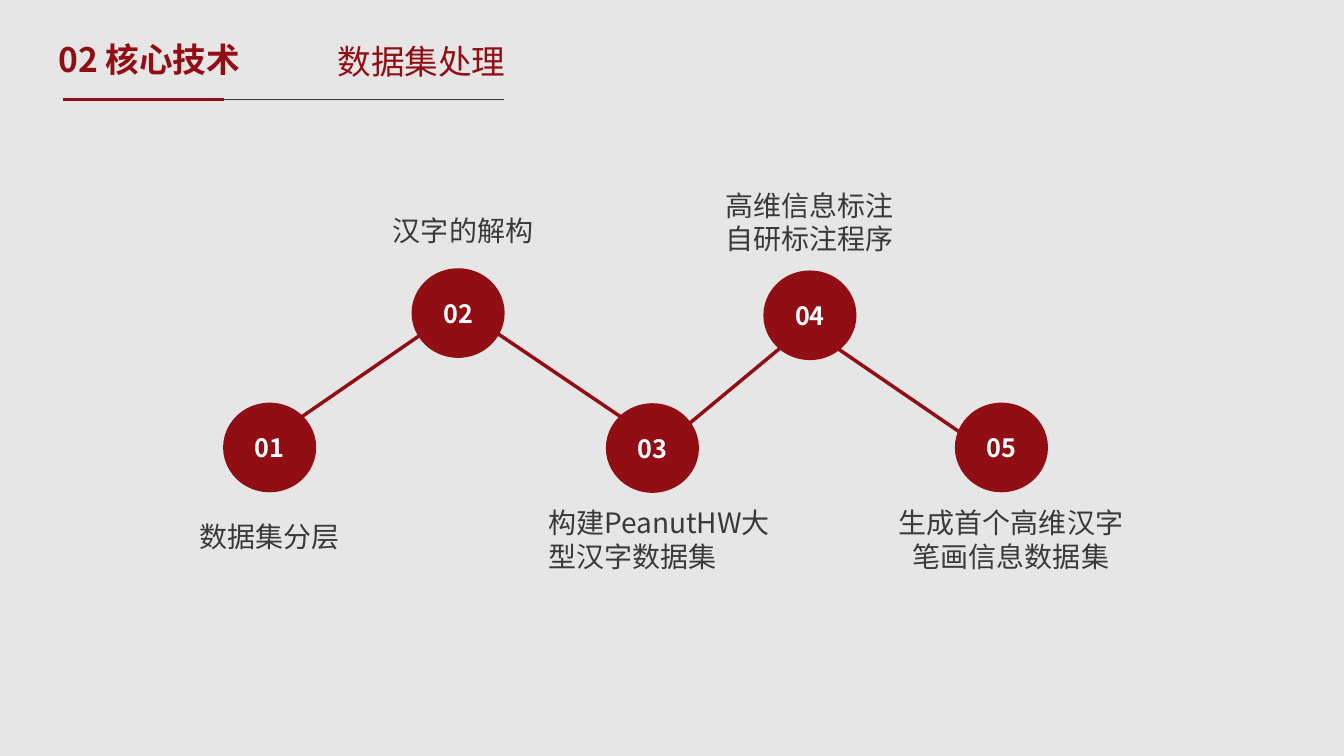
from lxml import etree
from pptx import Presentation
from pptx.dml.color import RGBColor
from pptx.enum import shapes, text
from pptx.oxml import ns
from pptx.util import Pt

COLORS = {"paper": "E7E6E6", "red": "910E14", "ink": "3B3838", "white": "FDFDFD"}
SANS = "Noto Sans CJK SC"
LEFT, CENTER = text.PP_ALIGN.LEFT, text.PP_ALIGN.CENTER
TOP, MIDDLE = text.MSO_ANCHOR.TOP, text.MSO_ANCHOR.MIDDLE


def rgb(name):
    """Return a palette colour."""
    return RGBColor.from_string(COLORS[name])


def write(sp, lines, size, color, align=LEFT, bold=False, anchor=TOP, spacing=None):
    """Fill a shape with uniformly formatted paragraphs."""
    tf = sp.text_frame
    tf.word_wrap = True
    tf.auto_size = text.MSO_AUTO_SIZE.NONE
    tf.vertical_anchor = anchor
    tf.text = lines
    for p in tf.paragraphs:
        p.alignment, p.line_spacing = align, spacing
        p.font.name, p.font.size, p.font.bold = SANS, Pt(size), bold
        p.font.color.rgb = rgb(color)
        props = p._p.pPr.find(ns.qn("a:defRPr"))
        etree.SubElement(props, ns.qn("a:ea")).set("typeface", SANS)


def add_text(s, box, lines, size, color, **style):
    """Add a text box."""
    write(s.shapes.add_textbox(*map(Pt, box)), lines, size, color, **style)


def add_line(s, start, end, color, width):
    """Add a straight line without a shadow."""
    line = s.shapes.add_connector(shapes.MSO_CONNECTOR.STRAIGHT, *map(Pt, start + end))
    line.line.color.rgb = rgb(color)
    line.line.width = Pt(width)
    etree.SubElement(line._element.spPr, ns.qn("a:effectLst"))


def add_red_shape(s, kind, box, width):
    """Add a solid red shape and return it."""
    sp = s.shapes.add_shape(kind, *map(Pt, box))
    sp.shadow.inherit = False
    sp.fill.solid()
    sp.fill.fore_color.rgb = sp.line.color.rgb = rgb("red")
    sp.line.width = Pt(width)
    return sp


def add_header(s, x, y, title, subtitle):
    """Place the section title, subtitle and double rule."""
    sp = s.shapes.title
    sp.left, sp.top, sp.width, sp.height = map(Pt, (x, y, 712.8, 49))
    write(sp, title, 24, "red", bold=True, anchor=MIDDLE, spacing=0.9)
    rule_x, rule_y = x + 10.1, y + 51.9
    add_line(s, (rule_x, rule_y), (rule_x + 315.3, rule_y), "ink", 0.5)
    add_line(s, (rule_x, rule_y), (rule_x + 115.2, rule_y), "red", 2.25)
    add_text(s, (x + 199.4, y + 1.5, 712.8, 49), subtitle, 24, "red", anchor=MIDDLE, spacing=0.9)


def add_steps(s, x, y, steps, links):
    """Place the zigzag of numbered circles, links and captions."""
    for cx, cy, *_ in steps:
        add_red_shape(s, shapes.MSO_SHAPE.OVAL, (x + cx - 32.75, y + cy - 31.5, 65.5, 63), 1)
    for number, (cx, cy, *_) in enumerate(steps, 1):
        plate = add_red_shape(s, shapes.MSO_SHAPE.RECTANGLE, (x + cx - 22, y + cy - 14.2, 44, 29), 0.75)
        write(plate, f"{number:02}", 18, "white", align=CENTER, bold=True)
    for x1, y1, x2, y2 in links:
        add_line(s, (x + x1, y + y1), (x + x2, y + y2), "red", 2.5)
    for cx, cy, caption, (dx, dy, w, h), align in steps:
        add_text(s, (x + cx + dx, y + cy + dy, w, h), caption, 20, "ink", align=align)


def main():
    """Build and save the slide."""
    prs = Presentation()
    prs.slide_width, prs.slide_height = Pt(960), Pt(540)
    s = prs.slides.add_slide(prs.slide_layouts[5])
    s.background.fill.solid()
    s.background.fill.fore_color.rgb = rgb("paper")
    add_header(s, 34.6, 19.4, "02 核心技术", "数据集处理")
    steps = [
        (57.6, 188.6, "数据集分层", (-57.2, 47.6, 115.2, 31.7), LEFT),
        (192.2, 92.6, "汉字的解构", (-53.6, -74.6, 116.6, 31.7), LEFT),
        (331, 189, "构建PeanutHW大型汉字数据集", (-81.5, 37.8, 175.7, 55.4), LEFT),
        (443.5, 94.2, "高维信息标注\n自研标注程序", (-85.3, -94.2, 169.9, 55.4), CENTER),
        (580.3, 188.6, "生成首个高维汉字笔画信息数据集", (-81, 38.2, 175.7, 55.4), CENTER),
    ]
    links = [
        (166.7, 107.3, 81, 166.4),
        (425.2, 115.2, 353.2, 175),
        (218.5, 105.9, 310, 167.8),
        (456.1, 113, 551.9, 178.6),
    ]
    add_steps(s, 135, 131, steps, links)
    prs.save("out.pptx")


if __name__ == "__main__":
    main()
